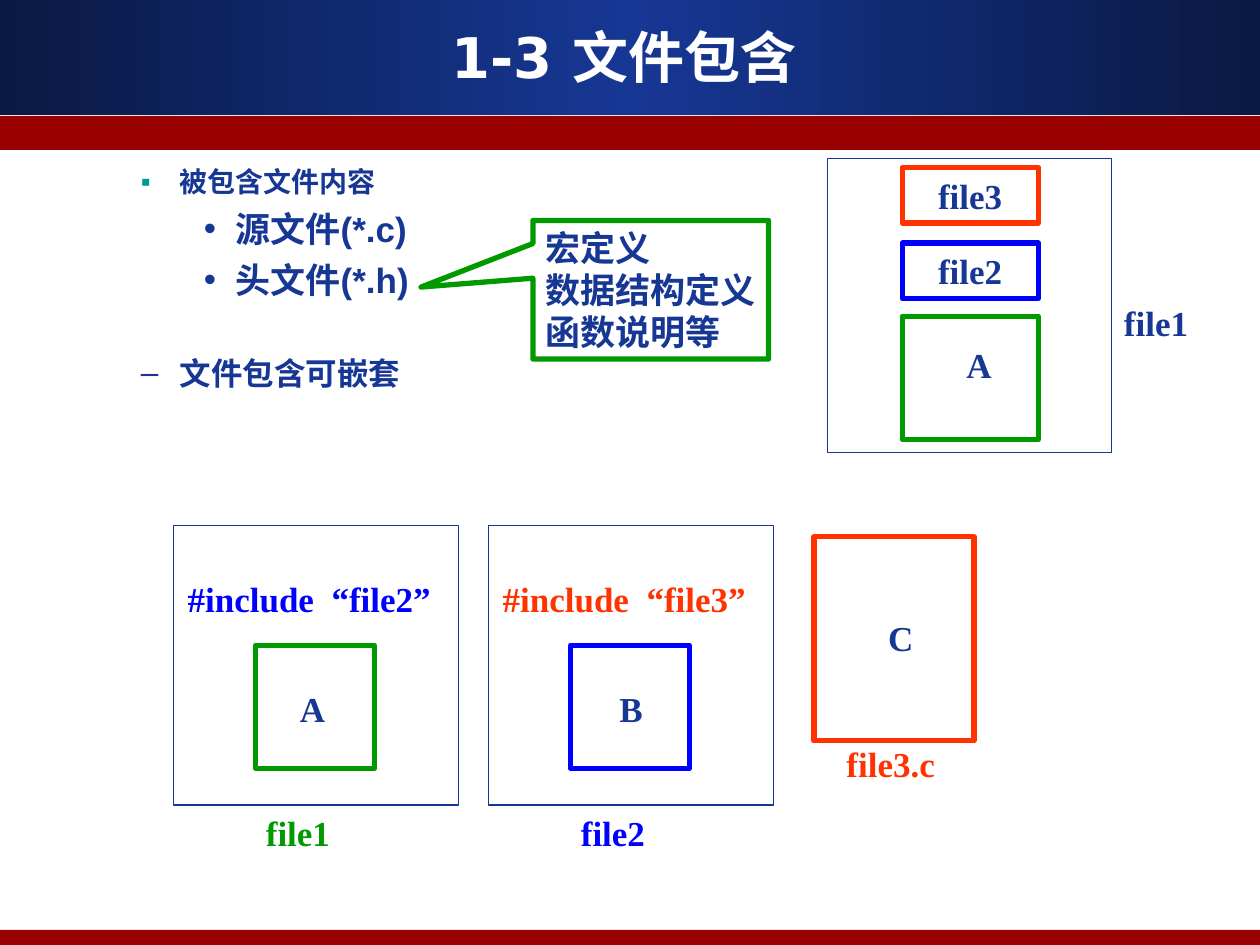
from copy import deepcopy
from dataclasses import dataclass

from pptx import Presentation
from pptx.dml.color import RGBColor
from pptx.enum.shapes import MSO_SHAPE
from pptx.enum.text import MSO_ANCHOR, PP_ALIGN
from pptx.oxml import parse_xml
from pptx.oxml.ns import nsdecls, qn
from pptx.util import Inches, Pt

NAVY, DEEP, RED = "163794", "0A1944", "990000"
GREEN, BLUE, FLAME = "009900", "0000FF", "FF3300"
WHITE, TEAL = "FFFFFF", "009999"
SERIF = "Times New Roman"

# Grid of 100 columns by 75 rows
COLS, ROWS = 100, 75
prs = Presentation()
prs.slide_width, prs.slide_height = Inches(10), Inches(7.5)


@dataclass
class Spot:
    x: float
    y: float
    w: float
    h: float

    def emu(self) -> list:
        dx, dy = prs.slide_width / COLS, prs.slide_height / ROWS
        return [round(self.x * dx), round(self.y * dy),
                round(self.w * dx), round(self.h * dy)]


@dataclass
class Box:
    spot: Spot
    line: str
    width: float = 3
    text: str = ""


@dataclass
class Label:
    spot: Spot
    text: str
    color: str = NAVY


@dataclass
class Item:
    text: str
    mark: str
    size: int
    level: int = 1
    tint: str = NAVY
    gap: float = 0


@dataclass
class Panel:
    file: str
    child: str
    letter: str
    color: str
    link: str
    mid: float  # centre of the letter from the panel's left edge


def color(code: str) -> RGBColor:
    return RGBColor.from_string(code)


def style(target, form: dict) -> None:
    for key, value in form.items():
        setattr(target, key, value)


def write(para, text: str, size: float, name: str, code: str) -> None:
    run = para.add_run()
    run.text = text
    style(run.font, {"size": Pt(size), "name": name, "bold": True})
    run.font.color.rgb = color(code)


def add_shape(slide, spot: Spot, kind=MSO_SHAPE.RECTANGLE, fill: str = "",
              line: str = "", width: float = 0):
    shape = slide.shapes.add_shape(kind, *spot.emu())
    shape.shadow.inherit = False
    if fill:
        shape.fill.solid()
        shape.fill.fore_color.rgb = color(fill)
    else:
        shape.fill.background()
    if line:
        shape.line.color.rgb = color(line)
        shape.line.width = Pt(width)
    else:
        shape.line.fill.background()
    return shape


def fill_text(shape, lines: list, code: str, align) -> None:
    frame = shape.text_frame
    style(frame, {"word_wrap": False, "vertical_anchor": MSO_ANCHOR.MIDDLE})
    for i, text in enumerate(lines):
        para = frame.add_paragraph() if i else frame.paragraphs[0]
        para.alignment = align
        write(para, text, 20, SERIF, code)


def add_box(slide, box: Box) -> None:
    shape = add_shape(slide, box.spot, line=box.line, width=box.width)
    if box.text:
        fill_text(shape, [box.text], NAVY, PP_ALIGN.CENTER)


def add_label(slide, label: Label) -> None:
    shape = slide.shapes.add_textbox(*label.spot.emu())
    fill_text(shape, [label.text], label.color, PP_ALIGN.CENTER)


def add_list(slide, spot: Spot, items: list) -> None:
    frame = slide.shapes.add_textbox(*spot.emu()).text_frame
    frame.word_wrap = True
    for i, item in enumerate(items):
        para = frame.add_paragraph() if i else frame.paragraphs[0]
        style(para, {"level": item.level, "space_before": Pt(item.gap)})
        left, hang = (0.81, 0.31) if item.level == 1 else (1.25, 0.25)
        props = para._p.get_or_add_pPr()
        props.set("marL", str(Inches(left)))
        props.set("indent", str(-Inches(hang)))
        for xml in (f'<a:buClr {nsdecls("a")}><a:srgbClr val="{item.tint}"/></a:buClr>',
                    f'<a:buFont {nsdecls("a")} typeface="Arial"/>',
                    f'<a:buChar {nsdecls("a")} char="{item.mark}"/>'):
            props.append(parse_xml(xml))
        write(para, item.text, item.size, "Arial", NAVY)


def add_panel(slide, x: float, panel: Panel) -> None:
    add_box(slide, Box(Spot(x, 41.7, 22.6, 22.2), NAVY, 0.75))
    add_box(slide, Box(Spot(x + 6.5, 51.2, 9.4, 9.8), panel.color))
    for label in (
        Label(Spot(x + 0.1, 45.3, 21.3, 4.4), f"#include  “{panel.child}”", panel.link),
        Label(Spot(x + 6.3, 63.9, 7.1, 4.4), panel.file, panel.color),
        Label(Spot(x + panel.mid - 2, 54, 4, 4.4), panel.letter),
    ):
        add_label(slide, label)


def main() -> None:
    slide = prs.slides.add_slide(prs.slide_layouts[5])

    # Header and footer bands
    head = add_shape(slide, Spot(0, 0, COLS, 9.1), fill=DEEP)
    head.fill.gradient()
    head.fill.gradient_angle = 0
    stops = head._element.spPr.find(".//" + qn("a:gsLst"))
    stops.insert(1, deepcopy(stops[0]))
    for stop, code, place in zip(head.fill.gradient_stops,
                                 (DEEP, NAVY, DEEP), (0, 0.5, 1)):
        stop.color.rgb = color(code)
        stop.position = place
    for y, h in ((9.2, 2.7), (73.8, 1.2)):
        add_shape(slide, Spot(0, y, COLS, h), fill=RED)

    # Title, raised above the bands
    title = slide.shapes.title
    slide.shapes._spTree.append(title._element)
    style(title, dict(zip(("left", "top", "width", "height"),
                          Spot(3.3, 1.3, 92.5, 6.3).emu())))
    title.text_frame.vertical_anchor = MSO_ANCHOR.MIDDLE
    para = title.text_frame.paragraphs[0]
    para.alignment = PP_ALIGN.CENTER
    write(para, "1-3 文件包含", 32, "DejaVu Sans", WHITE)

    # Bullet lists
    add_list(slide, Spot(5.2, 12.6, 94.8, 15.2), [
        Item("被包含文件内容", "▪", 16, tint=TEAL),
        Item("源文件(*.c)", "•", 20, level=2, gap=5),
        Item("头文件(*.h)", "•", 20, level=2, gap=5),
    ])
    add_list(slide, Spot(5.2, 27.6, 94.8, 5.8), [Item("文件包含可嵌套", "–", 18)])

    # Callout on header files
    note = add_shape(slide, Spot(42.3, 17.5, 18.7, 11),
                     MSO_SHAPE.RECTANGULAR_CALLOUT, WHITE, GREEN, 3)
    note.adjustments[0], note.adjustments[1] = -0.975, -0.019
    fill_text(note, ["宏定义", "数据结构定义", "函数说明等"], NAVY, PP_ALIGN.LEFT)

    # Source files before inclusion
    for i, panel in enumerate((
        Panel("file1", "file2", "A", GREEN, BLUE, 11),
        Panel("file2", "file3", "B", BLUE, FLAME, 11.3),
    )):
        add_panel(slide, 13.8 + 25 * i, panel)
    add_box(slide, Box(Spot(64.6, 42.6, 12.7, 16.2), FLAME))
    add_label(slide, Label(Spot(66.2, 58.4, 9, 4.4), "file3.c", FLAME))
    add_label(slide, Label(Spot(69.5, 48.4, 4, 4.4), "C"))

    # Merged file1 after inclusion
    add_box(slide, Box(Spot(65.7, 12.6, 22.5, 23.3), NAVY, 0.75))
    for y, h, line, text in ((13.3, 4.4, FLAME, "file3"),
                             (19.3, 4.4, BLUE, "file2"),
                             (25.1, 9.8, GREEN, "")):
        add_box(slide, Box(Spot(71.6, y, 10.8, h), line, text=text))
    add_label(slide, Label(Spot(75.7, 26.7, 4, 4.4), "A"))
    add_label(slide, Label(Spot(88.2, 23.4, 7.1, 4.4), "file1"))

    prs.save("out.pptx")


if __name__ == "__main__":
    main()
